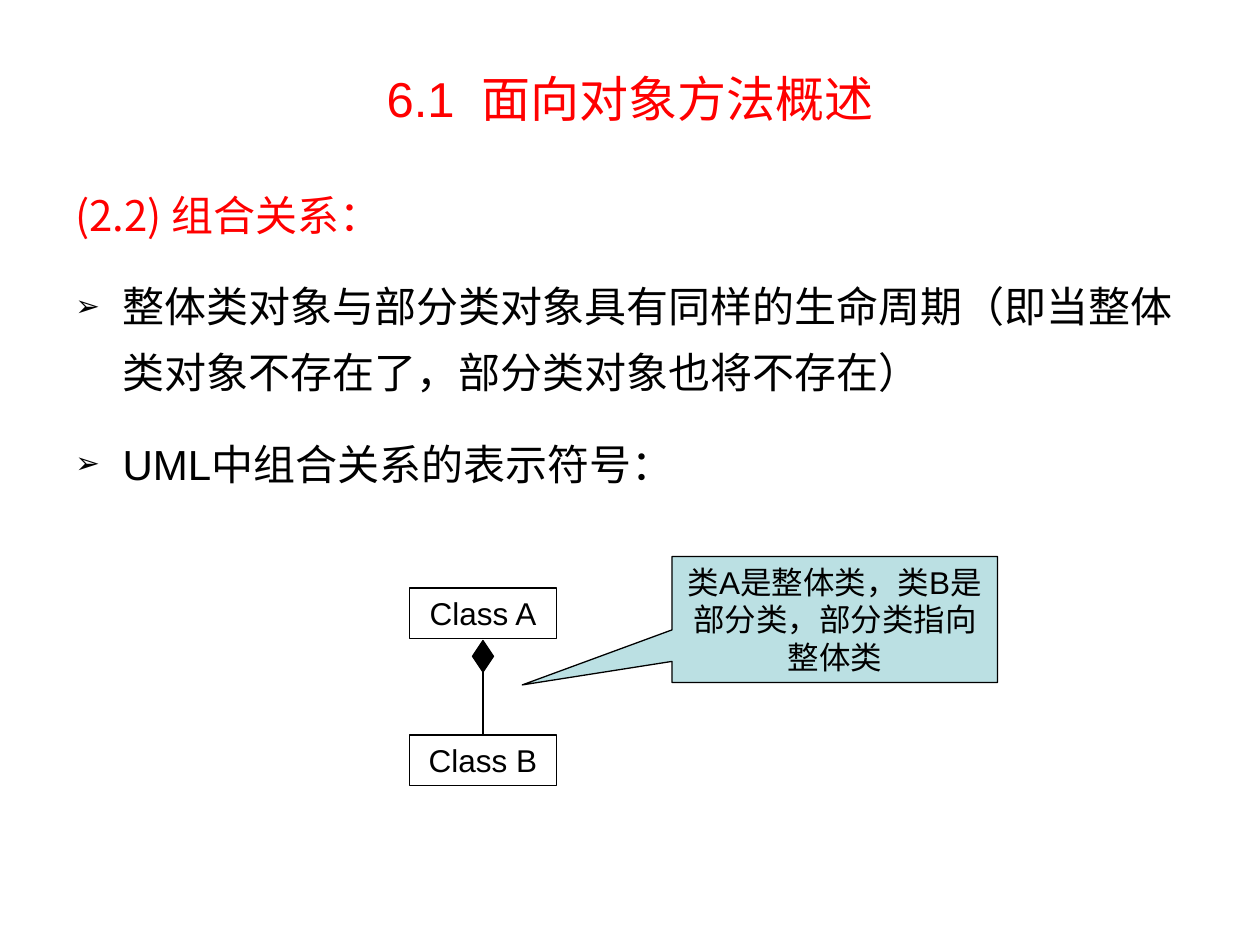
from dataclasses import dataclass

from pptx import Presentation
from pptx import util as u
from pptx.dml.color import RGBColor
from pptx.enum import shapes, text
from pptx.oxml.ns import qn
from lxml import etree

Pt = u.Pt
Kind = shapes.MSO_SHAPE


@dataclass
class Theme:
    ink: str = "000000"
    red: str = "FF0000"
    pale: str = "BBE0E3"
    latin: str = "Arial"
    han: str = "Noto Sans CJK SC"
    title: int = 28
    body: int = 24
    label: int = 18
    thin: float = 0.75
    thick: float = 1.5


class Deck:
    def __init__(self, theme):
        self.theme = theme
        self.file = Presentation()
        self.file.slide_width, self.file.slide_height = Pt(720), Pt(540)
        self.slide = self.file.slides.add_slide(self.file.slide_layouts[6])

    def font(self, run, size, color, face):
        run.font.size = Pt(size)
        run.font.name = face
        run.font.color.rgb = RGBColor.from_string(color)
        east = etree.SubElement(run.font._element, qn("a:ea"))
        east.set("typeface", self.theme.han)

    def box(self, left, top, width, height):
        box = self.slide.shapes.add_textbox(Pt(left), Pt(top), Pt(width), Pt(height))
        box.text_frame.word_wrap = True
        return box.text_frame

    def title(self, words, *place):
        frame = self.box(*place)
        frame.vertical_anchor = text.MSO_ANCHOR.MIDDLE
        frame.text = words
        para = frame.paragraphs[0]
        para.alignment = text.PP_ALIGN.CENTER
        self.font(para.runs[0], self.theme.title, self.theme.red, self.theme.latin)

    def bullet(self, para, mark):
        props = para._p.get_or_add_pPr()
        color = etree.SubElement(props, qn("a:buClr"))
        etree.SubElement(color, qn("a:srgbClr")).set("val", self.theme.ink)
        etree.SubElement(props, qn("a:buSzPct")).set("val", "70000")
        etree.SubElement(props, qn("a:buFont")).set("typeface", self.theme.latin)
        etree.SubElement(props, qn("a:buChar")).set("char", mark)

    def body(self, items, *place):
        """Each item is (bullet mark, colour, [(words, face), ...])."""
        frame = self.box(*place)
        for i, (mark, color, parts) in enumerate(items):
            para = frame.add_paragraph() if i else frame.paragraphs[0]
            para.line_spacing = 1.3
            if i:
                para.space_before = Pt(15)
            props = para._p.get_or_add_pPr()
            props.set("marL", str(Pt(27)))
            props.set("indent", str(Pt(-27)))
            if mark:
                self.bullet(para, mark)
            for words, face in parts:
                run = para.add_run()
                run.text = words
                self.font(run, self.theme.body, color, face)

    def shape(self, kind, left, top, width, height, fill=None, words=None):
        item = self.slide.shapes.add_shape(
            kind, Pt(left), Pt(top), Pt(width), Pt(height))
        item.shadow.inherit = False
        if fill:
            item.fill.solid()
            item.fill.fore_color.rgb = RGBColor.from_string(fill)
        else:
            item.fill.background()
        item.line.color.rgb = RGBColor.from_string(self.theme.ink)
        item.line.width = Pt(self.theme.thin)
        if words:
            frame = item.text_frame
            frame.word_wrap = True
            frame.vertical_anchor = text.MSO_ANCHOR.TOP
            frame.text = words
            para = frame.paragraphs[0]
            para.alignment = text.PP_ALIGN.CENTER
            self.font(para.runs[0], self.theme.label, self.theme.ink, self.theme.latin)
        return item

    def line(self, x, y, goal, side):
        link = self.slide.shapes.add_connector(
            shapes.MSO_CONNECTOR.STRAIGHT, Pt(x), Pt(y), Pt(x), Pt(y))
        link.end_connect(goal, side)
        link.line.color.rgb = RGBColor.from_string(self.theme.ink)
        link.line.width = Pt(self.theme.thick)
        etree.SubElement(link._element.spPr, qn("a:effectLst"))


def main():
    theme = Theme()
    deck = Deck(theme)

    # Body text and title
    deck.body([
        (None, theme.red, [("(2.2) ", theme.han), ("组合关系：", theme.latin)]),
        ("➢", theme.ink, [
            ("整体类对象与部分类对象具有同样的生命周期（即当整体类对象不存在了，"
             "部分类对象也将不存在）", theme.han)]),
        ("➢", theme.ink, [("UML", theme.latin), ("中组合关系的表示符号：", theme.han)]),
    ], 36, 96, 648, 390)
    deck.title("6.1  面向对象方法概述", 36, 21.6, 648, 68.4)

    # Whole and part classes
    left, wide, high = 234, 84, 29
    mid = left + wide / 2
    tops = {"Class A": 336, "Class B": 420}
    boxes = {}
    for name, top in tops.items():
        boxes[name] = deck.shape(Kind.RECTANGLE, left, top, wide, high, words=name)
        boxes[name].text_frame.auto_size = text.MSO_AUTO_SIZE.SHAPE_TO_FIT_TEXT

    # Composition link: a diamond below the whole, a line to the part
    long, short, joint = 18, 12, 384
    gem = deck.shape(Kind.DIAMOND, mid - long / 2, joint - (long + short) / 2,
                     long, short, theme.ink)
    gem.rotation = 270
    deck.line(mid, joint, boxes["Class B"], 0)

    # Callout
    note = deck.shape(Kind.RECTANGULAR_CALLOUT, 384, 318, 186, 72, theme.pale,
                      "类A是整体类，类B是部分类，部分类指向整体类")
    note.adjustments[0], note.adjustments[1] = -0.96, 0.52

    deck.file.save("out.pptx")


if __name__ == "__main__":
    main()
